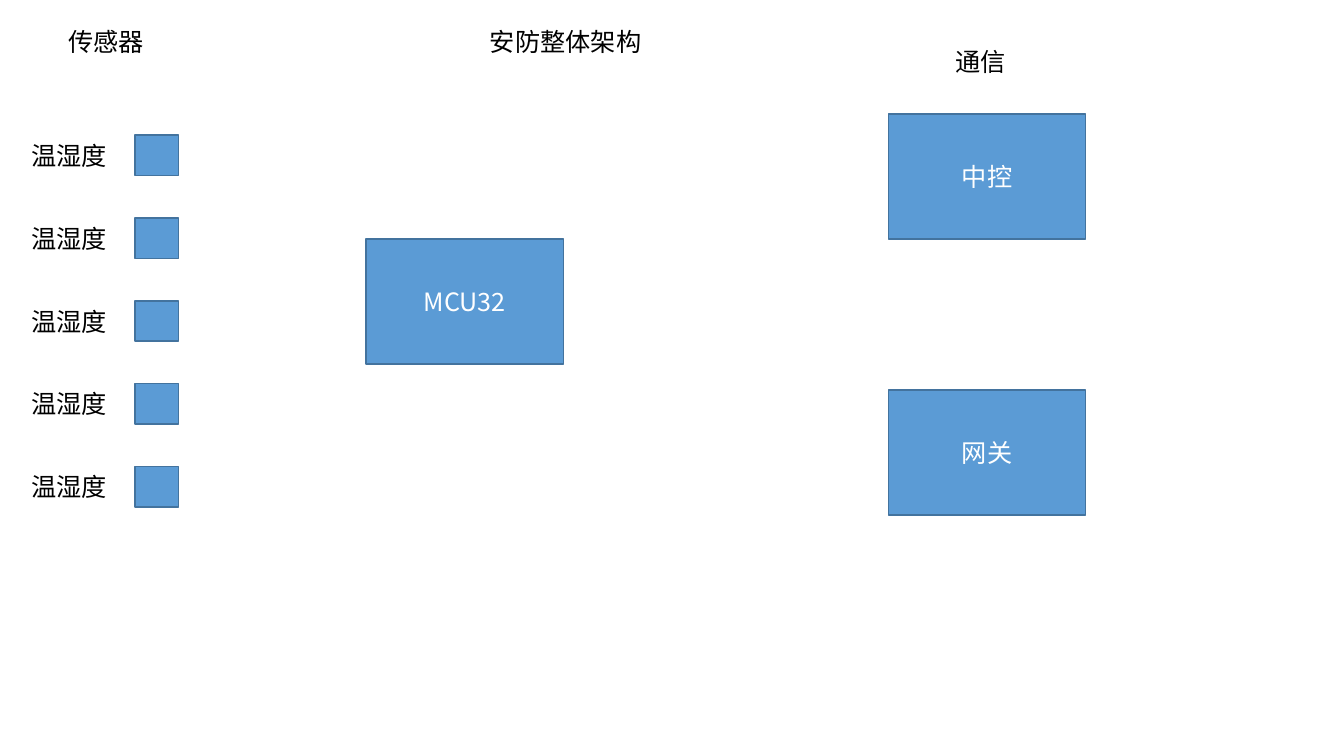
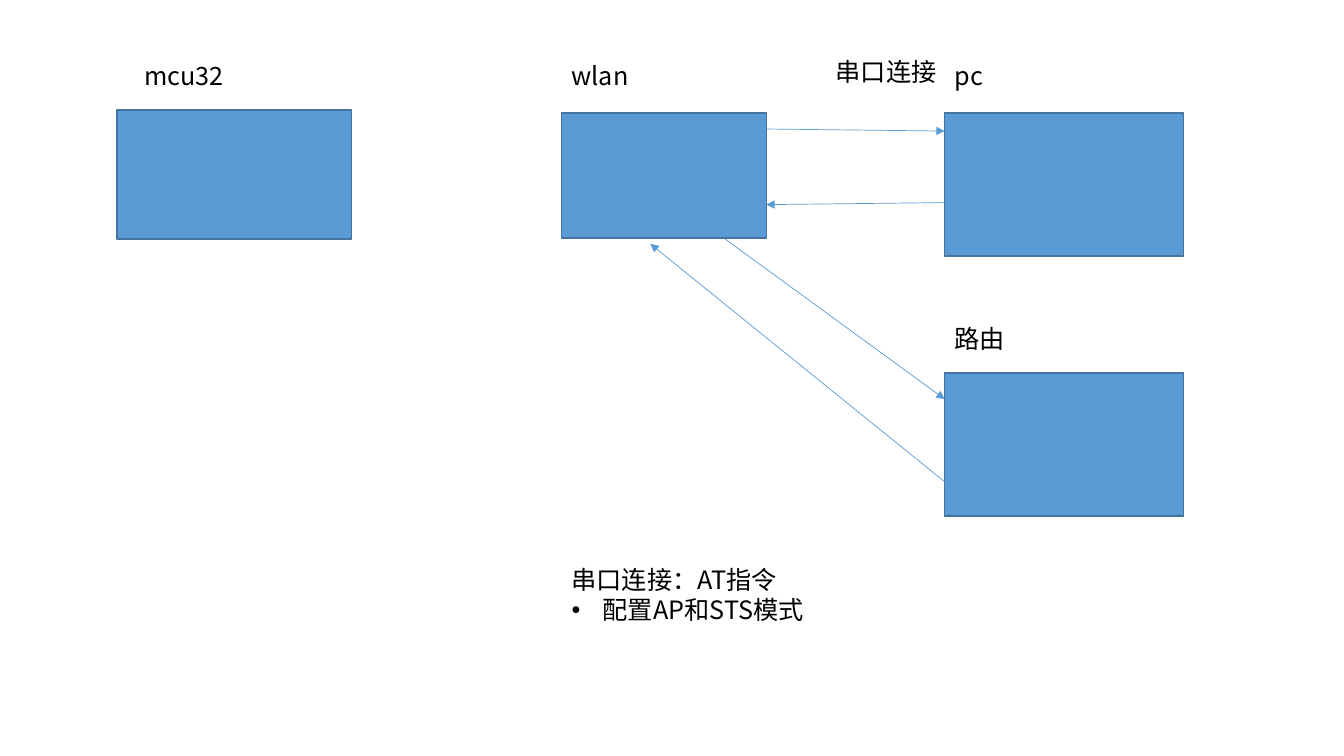
from lxml.etree import SubElement
from pptx import Presentation
from pptx.dml.color import RGBColor
from pptx.enum.shapes import MSO_CONNECTOR, MSO_SHAPE
from pptx.enum.text import MSO_ANCHOR, MSO_AUTO_SIZE, PP_ALIGN
from pptx.oxml.ns import qn
from pptx.util import Inches, Pt

FONT = "Noto Sans CJK SC"
BLUE, EDGE, BLACK, WHITE = "5B9BD5", "43739E", "000000", "FFFFFF"
TITLE_ONLY, BLANK = 5, 6

TITLE = ("安防整体架构", (4.76, 0.21, 2.25, 0.4))
SENSORS = ["温湿度"] * 5
SENSOR_TOP, SENSOR_PITCH = 1.34, 0.8225
GROUP_LABELS = [
    ("传感器", (0.58, 0.21, 2.25, 0.4)),
    ("通信", (9.38, 0.41, 2.25, 0.4)),
]
MODULES = [("MCU32", 3.63, 2.37), ("中控", 8.81, 1.13), ("网关", 8.81, 3.87)]
MODULE_SIZE = (1.96, 1.24)

DEVICES = [
    ("mcu32", (1.33, 0.55), (1.16, 1.09, 2.33, 1.28)),
    ("wlan", (5.57, 0.55), (5.57, 1.12, 2.03, 1.24)),
    ("pc", (9.37, 0.55), (9.37, 1.12, 2.37, 1.42)),
    ("路由", (9.37, 3.16), (9.37, 3.7, 2.37, 1.42)),
]
DEVICE_LABEL_SIZE = (1.25, 0.4)
LINK_LABEL = ("串口连接", (8.19, 0.51, 1.25, 0.4))
ARROWS = [
    ((7.6, 1.28), (9.37, 1.3)),
    ((9.37, 2.01), (7.6, 2.03)),
    ((7.19, 2.37), (9.37, 3.96)),
    ((9.37, 4.78), (6.45, 2.42)),
]
NOTES = ("串口连接：AT指令\n配置AP和STS模式", (5.57, 5.55, 2.88, 1.01))


def rgb(value):
    return RGBColor.from_string(value)


def lengths(values):
    return [Inches(value) for value in values]


def write(shape, text, color=BLACK, align=PP_ALIGN.LEFT, anchor=MSO_ANCHOR.TOP):
    frame = shape.text_frame
    frame.text = text
    frame.word_wrap = True
    frame.auto_size = MSO_AUTO_SIZE.NONE
    frame.vertical_anchor = anchor
    for paragraph in frame.paragraphs:
        paragraph.alignment = align
        for run in paragraph.runs:
            run.font.name = FONT
            run.font.size = Pt(18)
            run.font.color.rgb = rgb(color)
            SubElement(run.font._element, qn("a:ea"), typeface=FONT)


def add_title(slide, text, box):
    title = slide.shapes.title
    title.left, title.top, title.width, title.height = lengths(box)
    write(title, text)


def add_label(slide, text, box):
    label = slide.shapes.add_textbox(*lengths(box))
    write(label, text)
    return label


def add_box(slide, box, text=""):
    shape = slide.shapes.add_shape(MSO_SHAPE.RECTANGLE, *lengths(box))
    shape.shadow.inherit = False
    shape.fill.solid()
    shape.fill.fore_color.rgb = rgb(BLUE)
    shape.line.color.rgb = rgb(EDGE)
    shape.line.width = Pt(1)
    if text:
        write(shape, text, WHITE, PP_ALIGN.CENTER, MSO_ANCHOR.MIDDLE)


def add_arrow(slide, start, end):
    arrow = slide.shapes.add_connector(
        MSO_CONNECTOR.STRAIGHT, *lengths(start + end))
    arrow.line.color.rgb = rgb(BLUE)
    arrow.line.width = Pt(0.5)
    SubElement(arrow.line._get_or_add_ln(), qn("a:tailEnd"), type="triangle")
    SubElement(arrow._element.spPr, qn("a:effectLst"))


def add_bullet(paragraph):
    properties = paragraph._p.get_or_add_pPr()
    indent = Inches(0.31)
    properties.set("marL", str(indent))
    properties.set("indent", str(-indent))
    SubElement(properties, qn("a:buFont"), typeface="Arial")
    SubElement(properties, qn("a:buChar"), char="•")


def build_architecture(presentation):
    slide = presentation.slides.add_slide(presentation.slide_layouts[TITLE_ONLY])
    add_title(slide, *TITLE)
    for text, box in GROUP_LABELS:
        add_label(slide, text, box)
    for text, left, top in MODULES:
        add_box(slide, (left, top, *MODULE_SIZE), text)
    for index, text in enumerate(SENSORS):
        top = SENSOR_TOP + index * SENSOR_PITCH
        add_box(slide, (1.34, top, 0.43, 0.4))
        add_label(slide, text, (0.21, top, 1.13, 0.4))


def build_connections(presentation):
    slide = presentation.slides.add_slide(presentation.slide_layouts[BLANK])
    for text, position, box in DEVICES:
        add_box(slide, box)
        add_label(slide, text, position + DEVICE_LABEL_SIZE)
    add_label(slide, *LINK_LABEL)
    for start, end in ARROWS:
        add_arrow(slide, start, end)
    notes = add_label(slide, *NOTES)
    add_bullet(notes.text_frame.paragraphs[1])


def main():
    presentation = Presentation()
    presentation.slide_width = Inches(13.33)
    presentation.slide_height = Inches(7.5)
    build_architecture(presentation)
    build_connections(presentation)
    presentation.save("out.pptx")


if __name__ == "__main__":
    main()
